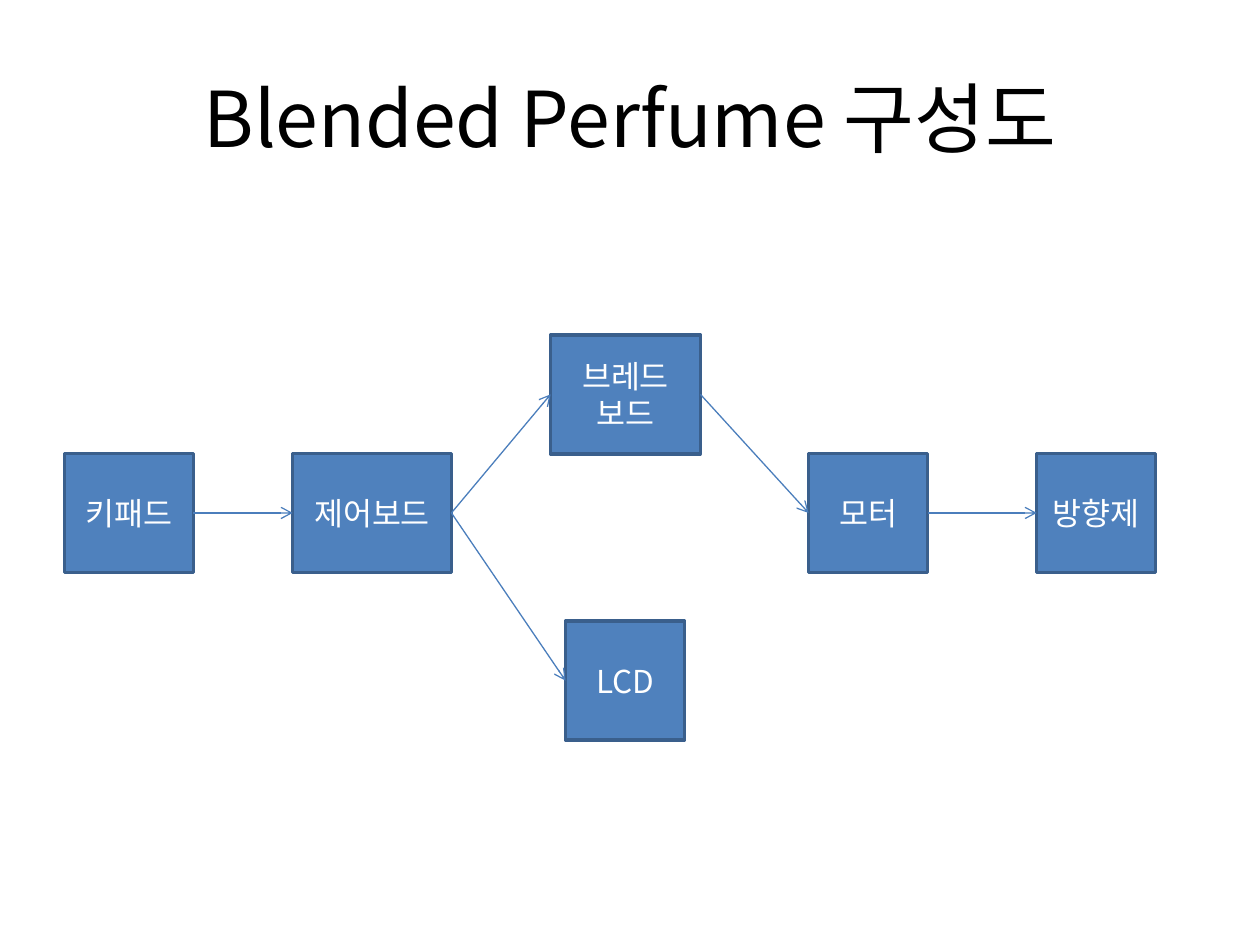
from lxml.etree import SubElement
from pptx import Presentation
from pptx.dml.color import RGBColor
from pptx.enum.shapes import MSO_CONNECTOR, MSO_SHAPE
from pptx.enum.text import MSO_ANCHOR, PP_ALIGN
from pptx.oxml.ns import qn
from pptx.util import Cm, Pt

FONT = "Noto Sans CJK KR"
TITLE = "Blended Perfume 구성도"
BOX_HEIGHT = 2.4
UPPER, MIDDLE, LOWER = 7.95, 10.34, 13.72  # row centres in cm

# label: (left, width, row centre) in cm
BOXES = {
    "키패드": (1.3, 2.6, MIDDLE),
    "제어보드": (5.9, 3.2, MIDDLE),
    "LCD": (11.4, 2.4, LOWER),
    "브레드 보드": (11.1, 3.02, UPPER),
    "모터": (16.3, 2.4, MIDDLE),
    "방향제": (20.9, 2.4, MIDDLE),
}
ARROWS = [
    ("키패드", "제어보드"),
    ("제어보드", "브레드 보드"),
    ("제어보드", "LCD"),
    ("브레드 보드", "모터"),
    ("모터", "방향제"),
]


def rgb(value):
    return RGBColor.from_string(value)


def set_text(shape, text, size, color):
    tf = shape.text_frame
    tf.text = text
    tf.word_wrap = True
    tf.vertical_anchor = MSO_ANCHOR.MIDDLE
    p = tf.paragraphs[0]
    p.alignment = PP_ALIGN.CENTER
    font = p.runs[0].font
    font.size = Pt(size)
    font.name = FONT
    font.color.rgb = rgb(color)
    # Hangul takes its typeface from the East Asian font
    SubElement(p.runs[0]._r.get_or_add_rPr(), qn("a:ea"), typeface=FONT)


def add_box(slide, label, left, width, centre):
    s = slide.shapes.add_shape(
        MSO_SHAPE.RECTANGLE, Cm(left), Cm(centre - BOX_HEIGHT / 2),
        Cm(width), Cm(BOX_HEIGHT))
    s.shadow.inherit = False
    s.fill.solid()
    s.fill.fore_color.rgb = rgb("4F81BD")
    s.line.color.rgb = rgb("3A5F8C")
    s.line.width = Pt(2)
    set_text(s, label, 18, "FFFFFF")
    return s


def add_arrow(slide, source, target):
    """Join the right side of source to the left side of target."""
    c = slide.shapes.add_connector(MSO_CONNECTOR.STRAIGHT, 0, 0, 0, 0)
    c.begin_connect(source, 3)
    c.end_connect(target, 1)
    c.line.color.rgb = rgb("4B7EBC")
    c.line.width = Pt(0.75)
    SubElement(c.line._get_or_add_ln(), qn("a:tailEnd"), type="arrow")
    SubElement(c._element.spPr, qn("a:effectLst"))


def main():
    prs = Presentation()
    prs.slide_width, prs.slide_height = Cm(25.4), Cm(19.05)
    slide = prs.slides.add_slide(prs.slide_layouts[6])

    title = slide.shapes.add_textbox(Cm(1.27), Cm(0.76), Cm(22.86), Cm(3.18))
    set_text(title, TITLE, 44, "000000")

    boxes = {label: add_box(slide, label, *place)
             for label, place in BOXES.items()}
    for source, target in ARROWS:
        add_arrow(slide, boxes[source], boxes[target])

    prs.save("out.pptx")


if __name__ == "__main__":
    main()
